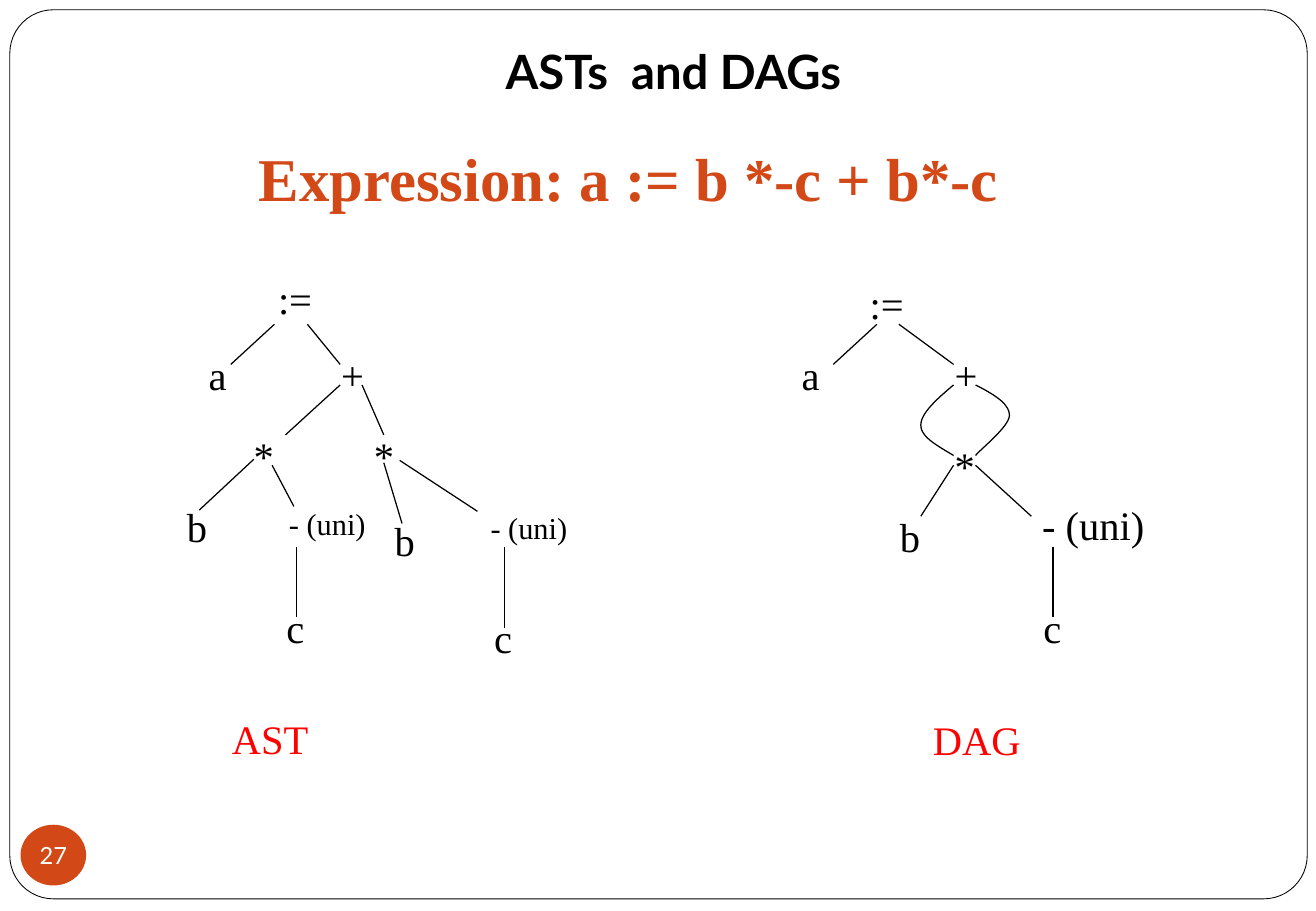
import pptx
import pptx.util
import pptx.dml.color
import pptx.enum.shapes
import pptx.enum.text
import pptx.oxml.ns
from lxml import etree

Pt = pptx.util.Pt
SHAPE = pptx.enum.shapes.MSO_SHAPE
ANCHOR = pptx.enum.text.MSO_ANCHOR
CENTER = pptx.enum.text.PP_ALIGN.CENTER
SERIF = "Times New Roman"
SANS = "Lato"
BLACK, RED, ORANGE, WHITE = "000000", "FF0000", "D34817", "FFFFFF"

TITLE = "ASTs  and DAGs"
EXPRESSION = "Expression: a := b *-c + b*-c"
PAGE = "27"
UNARY = "- (uni)"
NODE_WIDTHS = {":=": 34.6, "a": 25.2, "+": 28, "*": 26.6, "b": 26.6, "c": 25.2}
UNARY_WIDTHS = {18: 60.5, 24: 75.6}

AST_NODES = [
    (":=", 157.7, 159.1), ("a", 116.6, 203.8), ("+", 195.1, 203.8),
    ("*", 143.3, 252), ("*", 214.6, 252), ("b", 103.7, 293.8),
    (UNARY, 164.2, 295.9), ("b", 226.8, 302.4), (UNARY, 283.7, 298.1),
    ("c", 162.7, 354.2), ("c", 285.8, 360),
]
DAG_NODES = [
    (":=", 508.3, 162), ("a", 468, 203.8), ("+", 558.7, 203.8),
    ("*", 558.7, 257.8), ("b", 526.3, 300.2), (UNARY, 610.6, 293),
    ("c", 611.3, 354.2),
]
TREES = [(AST_NODES, 18), (DAG_NODES, 24)]
CAPTIONS = [("AST", 130.3, 419.8), ("DAG", 545.8, 420.5)]

EDGES = [
    (162.7, 192.2, 136.8, 216), (182.2, 192.2, 201.6, 216),
    (201.6, 228.2, 169.2, 257.8), (214.6, 228.2, 227.5, 257.8),
    (150.5, 272.2, 118.1, 302.4), (161.3, 275.8, 174.2, 300.2),
    (227.5, 274.3, 238.3, 310.3), (236.9, 272.9, 283, 303.1),
    (175.7, 324, 175.7, 365.8), (298.8, 324, 298.8, 372.2),
    (519.8, 192.2, 493.9, 216), (532.8, 192.2, 565.2, 216),
    (565.2, 275.8, 545.8, 306), (578.2, 275.8, 611.3, 306),
    (624.2, 324, 624.2, 365.8),
]
CURVES = [
    [(565.2, 228.2), (555.8, 236.2), (545.8, 244.8), (545.8, 252),
     (545.8, 259.2), (555.8, 264.2), (565.2, 270)],
    [(578.2, 228.2), (588.2, 233.3), (598.3, 239), (598.3, 246.2),
     (598.3, 252.7), (581.8, 265.7), (578.2, 270)],
]
CURVE_STEPS = 16


def rgb(value):
    return pptx.dml.color.RGBColor.from_string(value)


def style(p, size, color, font=SERIF, bold=False):
    p.font.name = font
    p.font.size = Pt(size)
    p.font.bold = bold
    p.font.color.rgb = rgb(color)


def stroke(shape, width=0.75):
    shape.line.color.rgb = rgb(BLACK)
    shape.line.width = Pt(width)


def add_label(s, text, x, y, w, h, size=24, color=BLACK, bold=False):
    tf = s.shapes.add_textbox(Pt(x), Pt(y), Pt(w), Pt(h)).text_frame
    tf.word_wrap = False
    p = tf.paragraphs[0]
    p.text = text
    style(p, size, color, bold=bold)


def add_edge(s, x1, y1, x2, y2):
    line = s.shapes.add_connector(
        pptx.enum.shapes.MSO_CONNECTOR.STRAIGHT, Pt(x1), Pt(y1), Pt(x2), Pt(y2))
    stroke(line)
    etree.SubElement(line._element.spPr, pptx.oxml.ns.qn("a:effectLst"))


def bezier(a, b, c, d, t):
    u = 1 - t
    return tuple(
        Pt(u**3 * i + 3 * u * u * t * j + 3 * u * t * t * k + t**3 * m)
        for i, j, k, m in zip(a, b, c, d))


def add_curve(s, controls):
    points = [
        bezier(*controls[start:start + 4], step / CURVE_STEPS)
        for start in range(0, len(controls) - 1, 3)
        for step in range(1, CURVE_STEPS + 1)]
    x, y = controls[0]
    builder = s.shapes.build_freeform(Pt(x), Pt(y))
    builder.add_line_segments(points, close=False)
    curve = builder.convert_to_shape()
    curve.shadow.inherit = False
    curve.fill.background()
    stroke(curve)


def main():
    prs = pptx.Presentation()
    prs.slide_width, prs.slide_height = Pt(780), Pt(540)
    s = prs.slides.add_slide(prs.slide_layouts[5])

    frame = s.shapes.add_shape(
        SHAPE.ROUNDED_RECTANGLE, Pt(5.8), Pt(5.8), Pt(769), Pt(527))
    frame.adjustments[0] = 0.049
    frame.shadow.inherit = False
    frame.fill.background()
    stroke(frame, 0.5)

    badge = s.shapes.add_shape(SHAPE.OVAL, Pt(12.2), Pt(488.9), Pt(38.9), Pt(36))
    badge.shadow.inherit = False
    badge.fill.solid()
    badge.fill.fore_color.rgb = rgb(ORANGE)
    badge.line.fill.background()
    tf = badge.text_frame
    tf.margin_left = tf.margin_right = tf.margin_top = tf.margin_bottom = 0
    tf.word_wrap = False
    tf.vertical_anchor = ANCHOR.MIDDLE
    p = tf.paragraphs[0]
    p.text = PAGE
    p.alignment = CENTER
    style(p, 14, WHITE, SANS)

    title = s.shapes.title
    title.left, title.top, title.width, title.height = (
        Pt(30.2), Pt(21.6), Pt(738), Pt(77.8))
    tf = title.text_frame
    tf.vertical_anchor = ANCHOR.TOP
    p = tf.paragraphs[0]
    p.text = TITLE
    p.alignment = CENTER
    style(p, 28, BLACK, SANS, True)

    add_label(s, EXPRESSION, 146.2, 79.9, 457.2, 51.1, 36, ORANGE, True)
    for nodes, unary_size in TREES:
        for text, x, y in nodes:
            size = unary_size if text == UNARY else 24
            w = UNARY_WIDTHS[size] if text == UNARY else NODE_WIDTHS[text]
            add_label(s, text, x, y, w, size * 1.5, size)
    for edge in EDGES:
        add_edge(s, *edge)
    for controls in CURVES:
        add_curve(s, controls)
    for text, x, y in CAPTIONS:
        add_label(s, text, x, y, 180.7, 36, color=RED)
        s.shapes[-1].text_frame.word_wrap = True

    prs.save("out.pptx")


if __name__ == "__main__":
    main()
